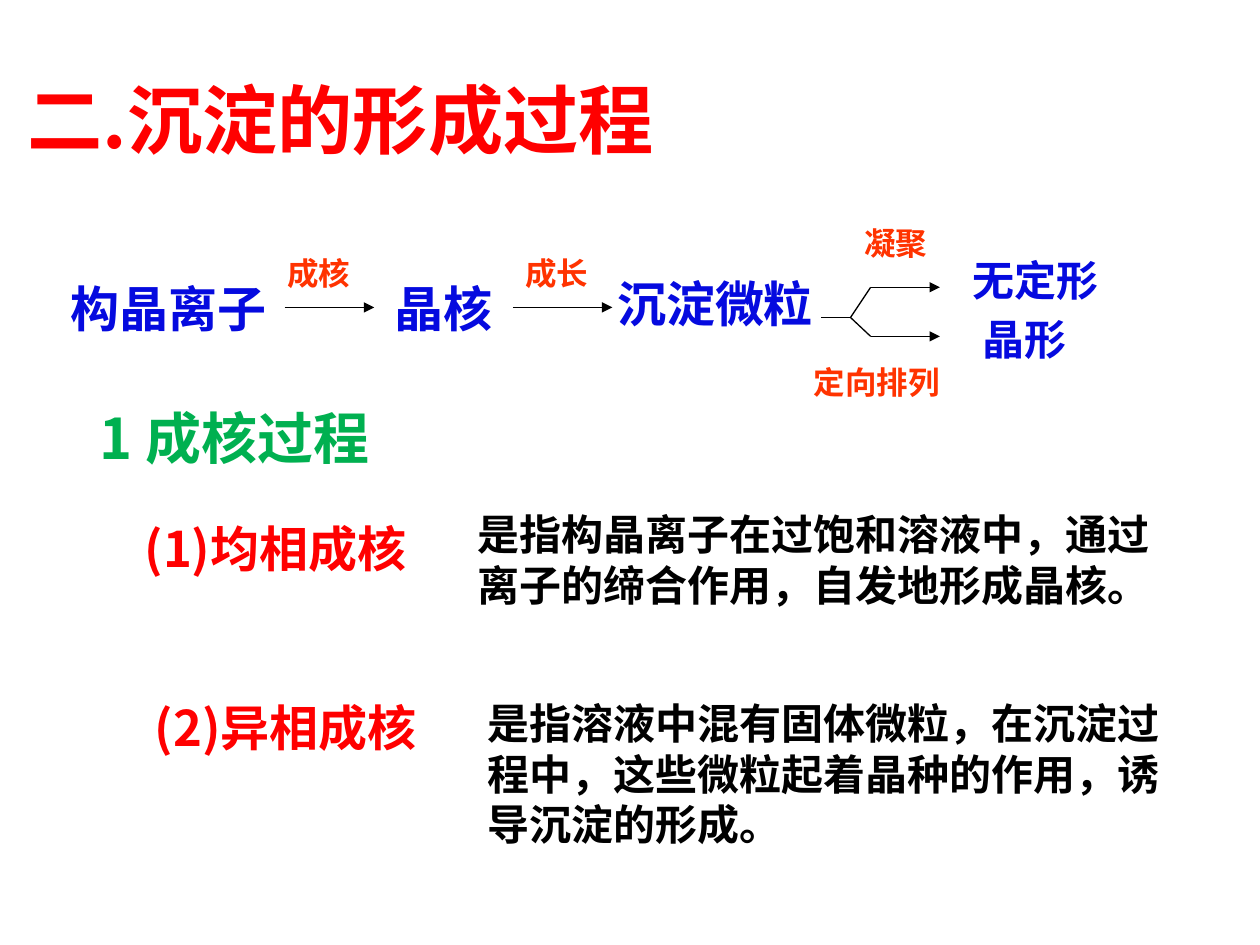
from lxml import etree
from pptx import Presentation
from pptx.dml.color import RGBColor
from pptx.enum import shapes, text
from pptx.oxml import ns
from pptx.util import Inches, Pt

FONT = "Noto Sans CJK SC"
COLORS = {"red": "FF0000", "orange": "FF3300", "blue": "050ADF",
          "green": "00B050", "black": "000000"}
STYLES = {  # size in points, colour
    "title": (43, "red"), "step": (18, "orange"), "stage": (28, "blue"),
    "product": (24, "blue"), "section": (32, "green"),
    "term": (28, "red"), "definition": (24, "black"),
}

TITLE = ("二.沉淀的形成过程", (0.12, 0.53, 5.45, 0.82))
# style, wording, (left, top, width, height)
TEXTS = [
    ("step", "成核", (2.18, 1.97, 0.95, 0.4)),
    ("step", "成长", (4.07, 1.97, 0.83, 0.4)),
    ("step", "凝聚", (6.76, 1.73, 0.7, 0.4)),
    ("step", "定向排列", (6.36, 2.83, 1.2, 0.4)),
    ("stage", "构晶离子", (0.46, 2.16, 1.75, 0.57)),
    ("stage", "晶核", (3.03, 2.16, 0.97, 0.57)),
    ("stage", "沉淀微粒", (4.8, 2.12, 1.75, 0.57)),
    ("product", "无定形", (7.62, 1.97, 1.43, 0.5)),
    ("product", "晶形", (7.7, 2.44, 1.74, 0.5)),
    ("section", "1 成核过程", (0.69, 3.15, 2.62, 0.64)),
    ("term", "(1)均相成核", (1.05, 4.07, 2.2, 1.04)),
    ("term", "(2)异相成核", (1.13, 5.49, 2.2, 1.04)),
    ("definition", "是指构晶离子在过饱和溶液中，通过离子的缔合作用，自发地形成晶核。",
     (3.69, 3.99, 5.73, 0.9)),
    ("definition", "是指溶液中混有固体微粒，在沉淀过程中，这些微粒起着晶种的作用，诱导沉淀的形成。",
     (3.77, 5.49, 5.57, 1.3)),
]

FLOW_Y = 2.44
FORK = (6.75, 2.52)
BRANCH_X, BRANCH_END = 6.91, 7.46
BRANCH_ROWS = (2.28, 2.67)
# start, end, has an arrowhead
LINES = [
    ((2.26, FLOW_Y), (2.97, FLOW_Y), True),
    ((4.07, FLOW_Y), (4.86, FLOW_Y), True),
    ((6.52, FORK[1]), FORK, False),
]
for row in BRANCH_ROWS:
    LINES += [(FORK, (BRANCH_X, row), False),
              ((BRANCH_X, row), (BRANCH_END, row), True)]


def set_all(target, values):
    """Set every attribute named in a dict."""
    for name, value in values.items():
        setattr(target, name, value)


def write(shape, style, wording):
    """Fill a shape with one formatted paragraph."""
    size, color = STYLES[style]
    frame = shape.text_frame
    set_all(frame, {
        "word_wrap": True, "auto_size": text.MSO_AUTO_SIZE.NONE,
        "vertical_anchor": text.MSO_ANCHOR.TOP,
        "margin_left": Inches(0.1), "margin_right": 0,
        "margin_top": Inches(0.05), "margin_bottom": Inches(0.05),
    })
    paragraph = frame.paragraphs[0]
    set_all(paragraph, {"alignment": text.PP_ALIGN.LEFT, "space_before": Pt(0)})
    run = paragraph.add_run()
    run.text = wording
    set_all(run.font, {"name": FONT, "size": Pt(size), "bold": True})
    run.font.color.rgb = RGBColor.from_string(COLORS[color])
    east_asian = etree.SubElement(run.font._element, ns.qn("a:ea"))
    east_asian.set("typeface", FONT)


def draw_line(slide, start, end, arrow):
    """Draw a thin line, with an arrowhead at its end if asked."""
    connector = slide.shapes.add_connector(
        shapes.MSO_CONNECTOR.STRAIGHT, *map(Inches, start + end))
    connector.line.width = Pt(0.74)
    connector.line.color.rgb = RGBColor.from_string(COLORS["black"])
    if arrow:
        head = etree.SubElement(connector.line._get_or_add_ln(), ns.qn("a:tailEnd"))
        head.set("type", "triangle")
    etree.SubElement(connector._element.spPr, ns.qn("a:effectLst"))


presentation = Presentation()
set_all(presentation, {"slide_width": Inches(10), "slide_height": Inches(7.5)})
slide = presentation.slides.add_slide(
    presentation.slide_layouts.get_by_name("Title Only"))

for start, end, arrow in LINES:
    draw_line(slide, start, end, arrow)

title = slide.shapes.title
set_all(title, dict(zip(("left", "top", "width", "height"), map(Inches, TITLE[1]))))
write(title, "title", TITLE[0])
for style, wording, box in TEXTS:
    write(slide.shapes.add_textbox(*map(Inches, box)), style, wording)

presentation.save("out.pptx")
